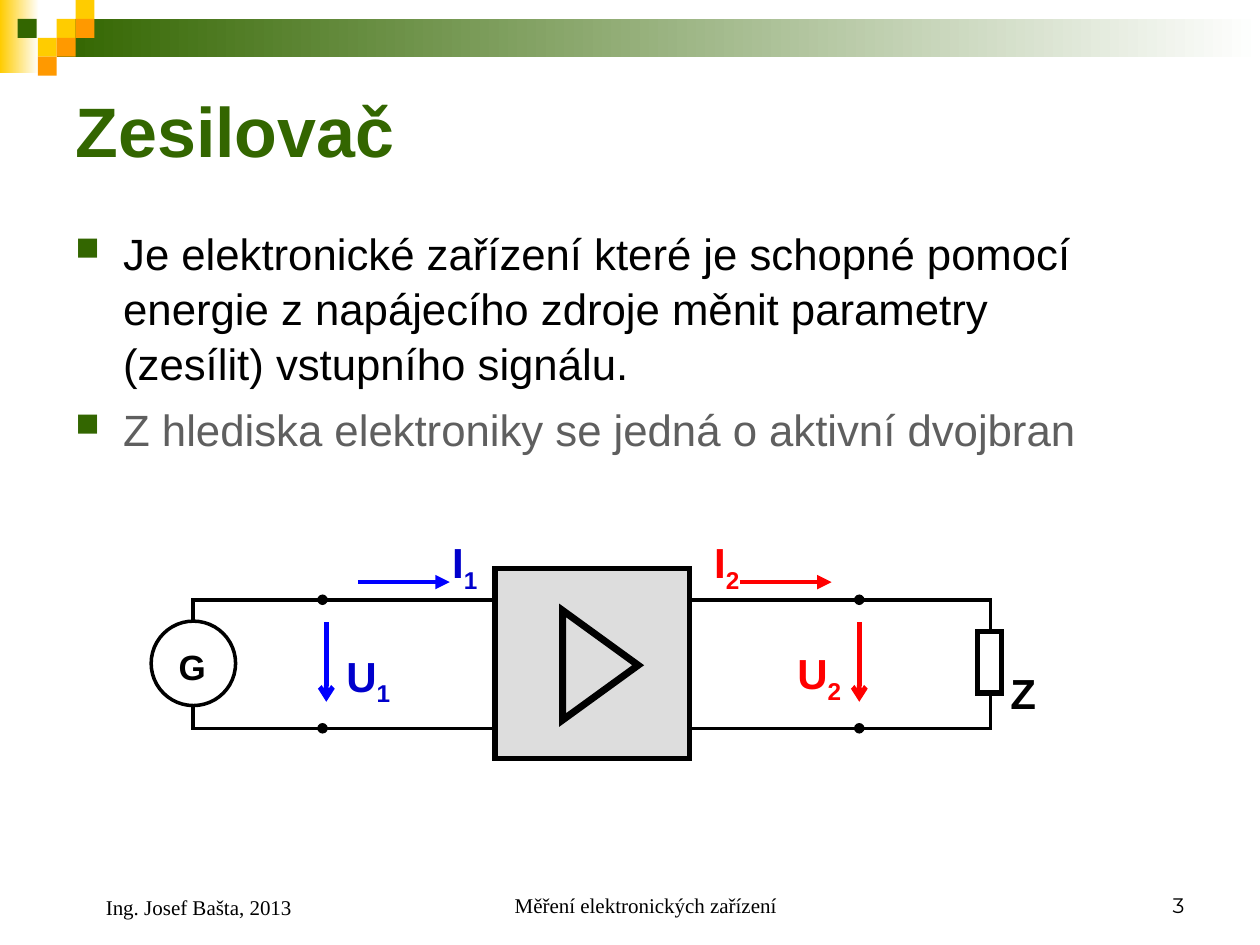
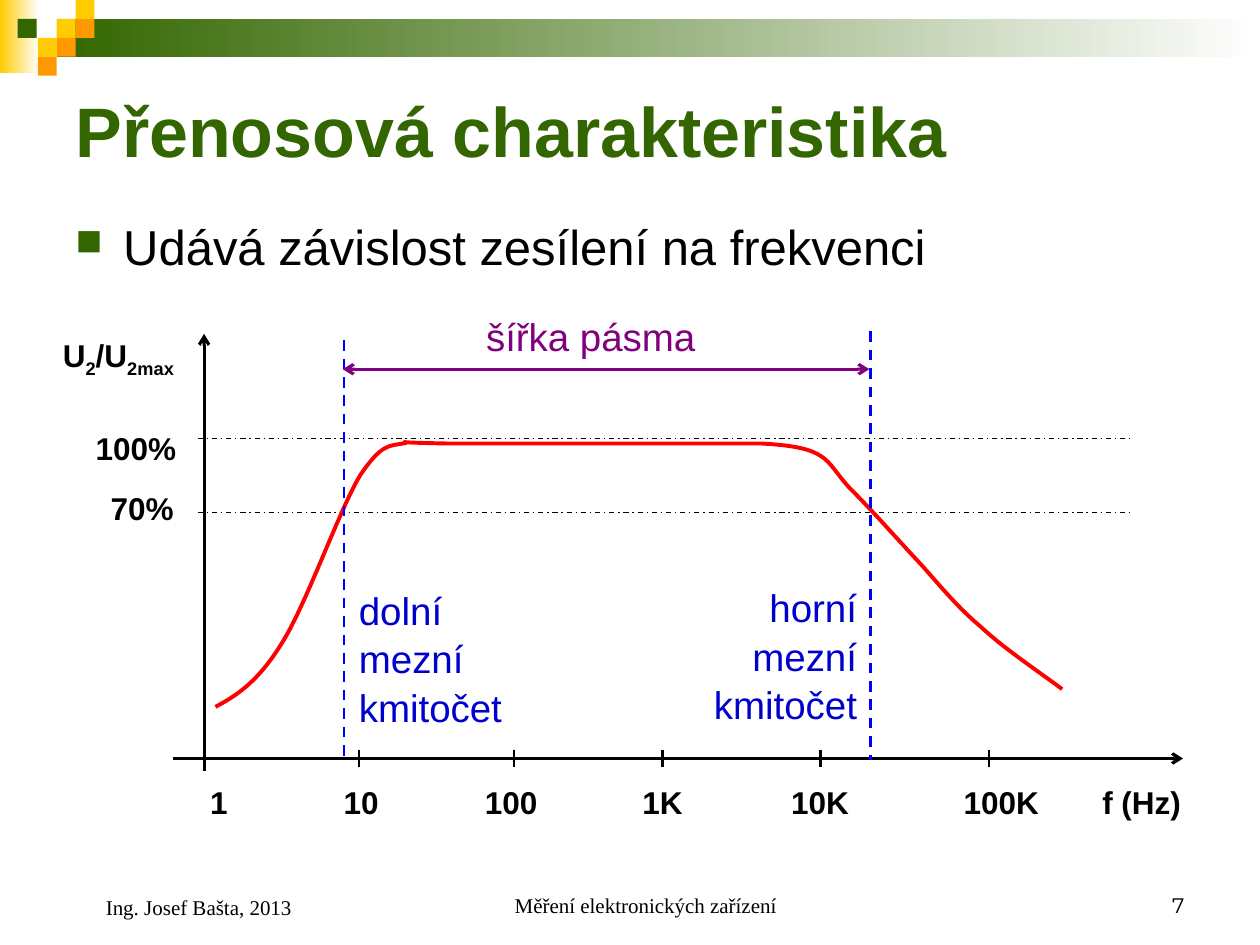
from dataclasses import dataclass
from typing import NamedTuple

from lxml.etree import SubElement
from pptx import Presentation
from pptx.dml.color import RGBColor
from pptx.enum.dml import MSO_LINE
from pptx.enum.shapes import MSO_CONNECTOR, MSO_SHAPE
from pptx.enum.text import MSO_ANCHOR, MSO_AUTO_SIZE, PP_ALIGN
from pptx.oxml.ns import qn
from pptx.util import Emu, Pt

PX = 9144  # EMU in one px, 100 px to the inch


@dataclass(frozen=True)
class Theme:
    green: RGBColor = RGBColor(0x33, 0x66, 0x00)
    gold: RGBColor = RGBColor(0xFF, 0xCC, 0x00)
    orange: RGBColor = RGBColor(0xFF, 0x99, 0x00)
    black: RGBColor = RGBColor(0, 0, 0)
    white: RGBColor = RGBColor(0xFF, 0xFF, 0xFF)
    grey: RGBColor = RGBColor(0x5F, 0x5F, 0x5F)
    pale: RGBColor = RGBColor(0xDD, 0xDD, 0xDD)
    blue: RGBColor = RGBColor(0, 0, 0xFF)
    navy: RGBColor = RGBColor(0, 0, 0xCC)
    red: RGBColor = RGBColor(0xFF, 0, 0)
    purple: RGBColor = RGBColor(0x80, 0, 0x80)
    sans: str = "Arial"
    serif: str = "Times New Roman"
    digit: str = "Montserrat"
    title: int = 40
    large: int = 28
    body: int = 25
    sign: int = 24
    note: int = 22
    node: int = 20
    tick: int = 18
    foot: int = 12
    lead: float = 1.05


T = Theme()


class Box(NamedTuple):
    x: int
    y: int
    w: int
    h: int

    def emu(self) -> list[Emu]:
        return [Emu(v * PX) for v in self]


@dataclass(frozen=True)
class Label:
    """Text in which every second piece between bars is a subscript."""
    text: str
    box: Box
    size: int
    color: RGBColor = T.black
    bold: bool = False
    align: PP_ALIGN = PP_ALIGN.LEFT
    font: str = T.sans
    anchor: MSO_ANCHOR = MSO_ANCHOR.TOP
    inset: int = 10
    lead: float = T.lead


@dataclass(frozen=True)
class Wire:
    x1: int
    y1: int
    x2: int
    y2: int
    color: RGBColor = T.black
    width: float = 2
    head: str = ""
    tail: str = ""
    dash: MSO_LINE | None = None


@dataclass(frozen=True)
class Part:
    kind: MSO_SHAPE
    box: Box
    fill: RGBColor | None = None
    width: float = 0
    turn: int = 0
    fade: bool = False


class Item(NamedTuple):
    text: str
    color: RGBColor = T.black


# Drawing tools
def style(para, font: str, size: int, color: RGBColor, bold: bool = False) -> None:
    para.font.name = font
    para.font.size = Pt(size)
    para.font.bold = bold
    para.font.color.rgb = color


def put_label(slide, lab: Label) -> None:
    frame = slide.shapes.add_textbox(*lab.box.emu()).text_frame
    frame.word_wrap = True
    frame.vertical_anchor = lab.anchor
    frame.margin_left = Emu(lab.inset * PX)
    para = frame.paragraphs[0]
    para.alignment = lab.align
    para.line_spacing = lab.lead
    for i, piece in enumerate(lab.text.split("|")):
        run = para.add_run()
        run.text = piece
        if i % 2:
            run._r.get_or_add_rPr().set("baseline", "-25000")
    style(para, lab.font, lab.size, lab.color, lab.bold)


def put_wire(slide, wire: Wire) -> None:
    ends = [Emu(v * PX) for v in (wire.x1, wire.y1, wire.x2, wire.y2)]
    link = slide.shapes.add_connector(MSO_CONNECTOR.STRAIGHT, *ends)
    link.line.color.rgb = wire.color
    link.line.width = Pt(wire.width)
    if wire.dash:
        link.line.dash_style = wire.dash
    props = link._element.spPr
    line = props.find(qn("a:ln"))
    for tag, tip in (("a:headEnd", wire.head), ("a:tailEnd", wire.tail)):
        if tip:
            SubElement(line, qn(tag)).set("type", tip)
    SubElement(props, qn("a:effectLst"))


def put_part(slide, part: Part) -> None:
    shape = slide.shapes.add_shape(part.kind, *part.box.emu())
    shape.shadow.inherit = False
    shape.rotation = part.turn
    if part.fade:
        shape.fill.gradient()
        shape.fill.gradient_angle = 0
        for stop, color in zip(shape.fill.gradient_stops, (part.fill, T.white)):
            stop.color.rgb = color
    elif part.fill is not None:
        shape.fill.solid()
        shape.fill.fore_color.rgb = part.fill
    else:
        shape.fill.background()
    if part.width:
        shape.line.color.rgb = T.black
        shape.line.width = Pt(part.width)
        line = shape._element.spPr.find(qn("a:ln"))
        SubElement(line, qn("a:miter")).set("lim", "800000")
    else:
        shape.line.fill.background()


def put_curve(slide, knots: list[tuple[int, int]], color: RGBColor, width: float) -> None:
    """Draw Bezier arcs: a start, then two handles and an end for each arc."""
    pen = slide.shapes.build_freeform(*knots[0], scale=PX)
    pen.add_line_segments(knots[1:], close=False)
    shape = pen.convert_to_shape()
    shape.shadow.inherit = False
    shape.fill.background()
    shape.line.color.rgb = color
    shape.line.width = Pt(width)
    steps = shape._element.xpath(".//a:lnTo")
    trace = steps[0].getparent()
    for i in range(0, len(steps), 3):
        arc = SubElement(trace, qn("a:cubicBezTo"))
        for step in steps[i:i + 3]:
            arc.append(step[0])
            trace.remove(step)


def put_list(slide, box: Box, size: int, items: list[Item]) -> None:
    frame = slide.shapes.add_textbox(*box.emu()).text_frame
    frame.word_wrap = True
    for i, item in enumerate(items):
        para = frame.add_paragraph() if i else frame.paragraphs[0]
        para.text = item.text
        para.line_spacing = T.lead
        if i:
            para.space_before = Pt(6)
        props = para._p.get_or_add_pPr()
        props.set("marL", str(38 * PX))
        props.set("indent", str(-38 * PX))
        tint = SubElement(props, qn("a:buClr"))
        SubElement(tint, qn("a:srgbClr")).set("val", str(T.green))
        SubElement(props, qn("a:buSzPct")).set("val", "75000")
        SubElement(props, qn("a:buChar")).set("char", "■")
        style(para, T.sans, size, item.color)


# Shared frame: bands, squares, title and footers
SIDE = 15
TILES = [(45, 15, T.gold), (60, 0, T.gold), (60, 15, T.orange), (30, 30, T.gold),
         (14, 15, T.green), (45, 30, T.orange), (30, 45, T.orange)]


def new_slide(deck, title: str, page: int):
    slide = deck.slides.add_slide(deck.slide_layouts[5])
    rect = MSO_SHAPE.RECTANGLE
    put_part(slide, Part(rect, Box(0, 0, 31, 58), T.gold, fade=True))
    put_part(slide, Part(rect, Box(45, 15, 955, 30), T.green, fade=True))
    for x, y, color in TILES:
        put_part(slide, Part(rect, Box(x, y, SIDE, SIDE), color))

    head = slide.shapes.title
    head.left, head.top, head.width, head.height = Box(50, 50, 900, 103).emu()
    frame = head.text_frame
    frame.text = title
    frame.auto_size = MSO_AUTO_SIZE.NONE
    frame.vertical_anchor = MSO_ANCHOR.MIDDLE
    para = frame.paragraphs[0]
    para.alignment = PP_ALIGN.LEFT
    para.line_spacing = T.lead
    style(para, T.sans, T.title, T.green, True)

    for text, box, align, font, inset in (
        ("Měření elektronických zařízení", Box(342, 683, 317, 50), PP_ALIGN.CENTER, T.serif, 34),
        (str(page), Box(717, 683, 233, 50), PP_ALIGN.RIGHT, T.digit, 10),
        ("Ing. Josef Bašta, 2013", Box(50, 683, 233, 52), PP_ALIGN.LEFT, T.serif, 34),
    ):
        put_label(slide, Label(text, box, T.foot, align=align, font=font,
                               anchor=MSO_ANCHOR.BOTTOM, inset=inset, lead=1))
    return slide


# Slide: amplifier as a two-port
def amp_slide(deck) -> None:
    slide = new_slide(deck, "Zesilovač", 3)
    put_list(slide, Box(50, 173, 900, 200), T.body, [
        Item("Je elektronické zařízení které je schopné pomocí energie z napájecího "
             "zdroje měnit parametry\v(zesílit) vstupního signálu."),
        Item("Z hlediska elektroniky se jedná o aktivní dvojbran", T.grey),
    ])
    top, low = 476, 578
    put_part(slide, Part(MSO_SHAPE.RECTANGLE, Box(393, 451, 154, 151), T.pale, 3))
    put_part(slide, Part(MSO_SHAPE.ISOSCELES_TRIANGLE, Box(433, 498, 87, 60), width=4, turn=90))
    for y in (top, low):
        put_wire(slide, Wire(256, y, 392, y, head="oval"))
        put_wire(slide, Wire(546, y, 682, y, tail="oval"))
        put_wire(slide, Wire(152, y, 257, y))
        put_wire(slide, Wire(683, y, 787, y))
    for x in (153, 786):
        put_wire(slide, Wire(x, top, x, low))
    put_part(slide, Part(MSO_SHAPE.OVAL, Box(120, 493, 67, 67), T.white, 2))
    put_part(slide, Part(MSO_SHAPE.RECTANGLE, Box(776, 501, 19, 49), T.white, 3))

    # Voltage and current arrows
    for x, flow, color in ((259, 284, T.blue), (682, 587, T.red)):
        put_wire(slide, Wire(x, 494, x, 557, color, 2.75, tail="arrow"))
        put_wire(slide, Wire(flow, 462, flow + 73, 462, color, 2.75, tail="triangle"))
    for text, x, y, color in (("U|1", 265, 509, T.navy), ("U|2", 623, 507, T.red),
                              ("I|1", 349, 419, T.navy), ("I|2", 557, 419, T.red),
                              ("Z", 792, 523, T.black)):
        put_label(slide, Label(text, Box(x, y, 63, 56), T.sign, color, True))
    put_label(slide, Label("G", Box(132, 506, 47, 44), T.node, bold=True))


# Slide: gain over frequency
def gain_slide(deck) -> None:
    slide = new_slide(deck, "Přenosová charakteristika", 7)
    put_list(slide, Box(50, 165, 900, 66), T.large,
             [Item("Udává závislost zesílení na frekvenci")])

    # Axes, ticks and their labels
    put_wire(slide, Wire(137, 602, 939, 602, width=1.75, tail="arrow"))
    put_wire(slide, Wire(162, 612, 162, 265, width=1.75, tail="arrow"))
    for x in (285, 408, 526, 651, 785):
        put_wire(slide, Wire(x, 595, x, 609, width=1.5))
    for text, x, y, w in (("1", 157, 615, 42), ("10", 263, 615, 50), ("100", 375, 615, 77),
                          ("1K", 500, 615, 55), ("10K", 618, 615, 72), ("100K", 755, 615, 88),
                          ("f (Hz)", 865, 615, 88), ("U|2|/U|2max", 40, 260, 132),
                          ("100%", 66, 334, 95), ("70%", 78, 382, 95)):
        put_label(slide, Label(text, Box(x, y, w, 40), T.tick, bold=True))
    for y in (348, 407):
        put_wire(slide, Wire(157, y, 898, y, width=0.75, dash=MSO_LINE.DASH_DOT))

    # Response curve
    put_curve(slide, [
        (171, 561), (188, 552), (205, 541), (224, 510), (243, 480), (270, 403), (286, 377),
        (303, 352), (309, 354), (320, 352), (331, 350), (299, 351), (355, 352),
        (355, 352), (604, 352), (604, 352), (659, 355), (654, 365), (674, 387),
        (695, 408), (714, 430), (731, 448), (748, 467), (760, 482), (779, 498),
        (797, 515), (830, 537), (843, 547)], T.red, 2.25)

    # Band limits and width
    for x, y in ((273, 270), (691, 263)):
        put_wire(slide, Wire(x, y, x, 603, T.blue, 1.5, dash=MSO_LINE.DASH))
    put_label(slide, Label("dolní mezní kmitočet", Box(275, 459, 141, 120), T.note, T.navy))
    put_label(slide, Label("horní mezní kmitočet", Box(552, 457, 138, 120), T.note, T.navy,
                           align=PP_ALIGN.RIGHT))
    put_label(slide, Label("šířka pásma", Box(376, 242, 260, 47), T.note, T.purple))
    put_wire(slide, Wire(272, 293, 690, 293, T.purple, 1.75, "arrow", "arrow"))


def main() -> None:
    deck = Presentation()
    deck.slide_width, deck.slide_height = Emu(1000 * PX), Emu(750 * PX)
    amp_slide(deck)
    gain_slide(deck)
    deck.save("out.pptx")


if __name__ == "__main__":
    main()
